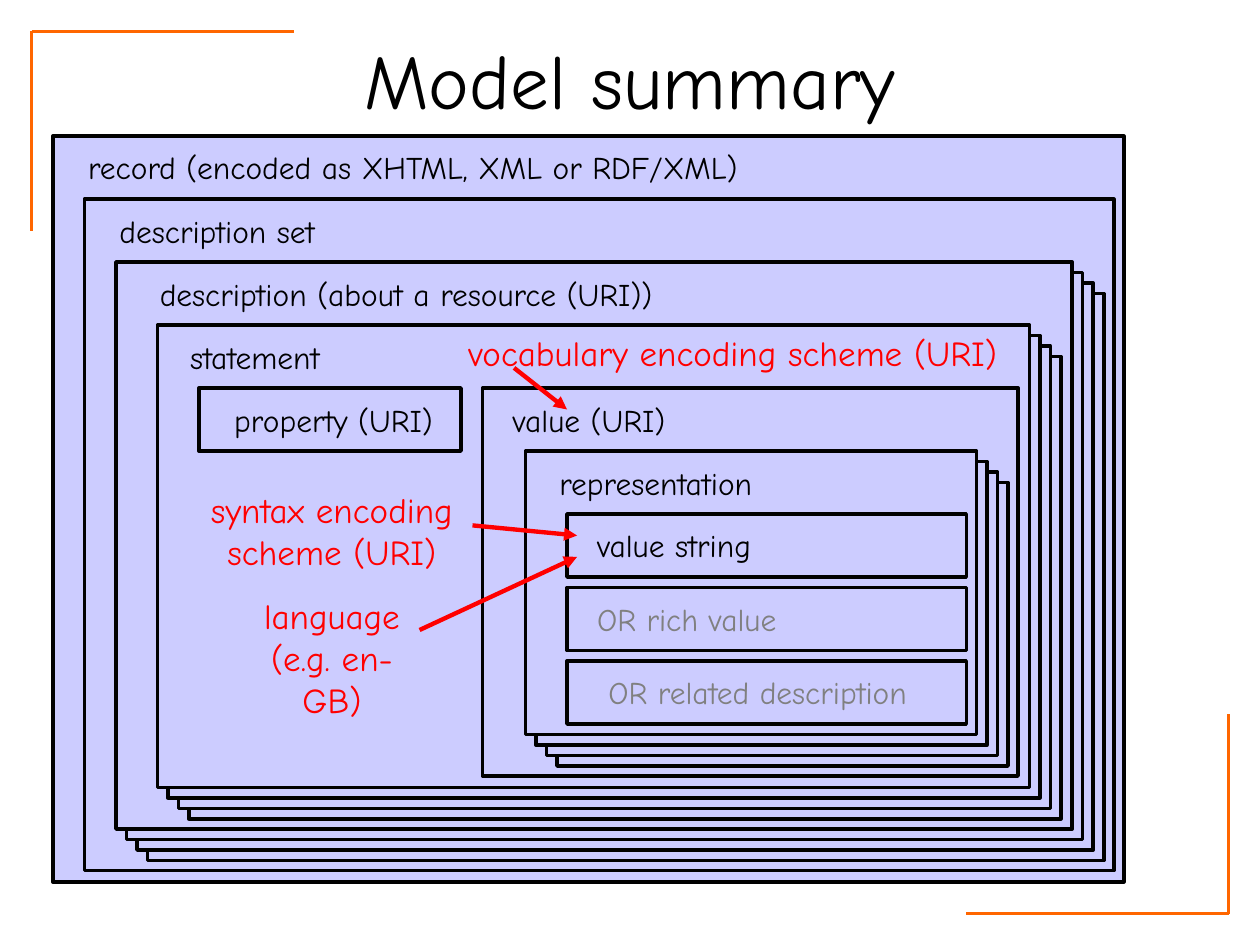
from lxml.etree import SubElement
from pptx import Presentation
from pptx.dml.color import RGBColor
from pptx.enum.shapes import MSO_CONNECTOR, MSO_SHAPE
from pptx.enum.text import MSO_ANCHOR, MSO_AUTO_SIZE, PP_ALIGN
from pptx.oxml.ns import qn
from pptx.util import Inches, Pt

FONT = "Comic Neue"
COLORS = {"box": "CCCCFF", "ink": "000000", "note": "FF0000",
          "option": "808080", "frame": "FF6600"}
STACK_STEP = 1 / 12

# box (left, top, width, height), copies behind it, label, label (left, top, width)
LEVELS = [
    ((0.42, 1.08, 8.5, 5.92), 0, "record (encoded as XHTML, XML or RDF/XML)", (0.6, 1.16, 5.39)),
    ((0.67, 1.58, 8.17, 5.33), 0, "description set", (0.85, 1.67, 1.76)),
    ((0.92, 2.08, 7.59, 4.5), 3, "description (about a resource (URI))", (1.17, 2.17, 4.13)),
    ((1.25, 2.58, 6.92, 3.67), 3, "statement", (1.41, 2.67, 1.25)),
    ((1.58, 3.08, 2.08, 0.5), 0, "property (URI)", (1.76, 3.17, 1.78)),
    ((3.83, 3.08, 4.25, 3.08), 0, "value (URI)", (3.97, 3.17, 1.42)),
    ((4.17, 3.58, 3.58, 2.25), 3, "representation", (4.34, 3.67, 1.75)),
]
# label, left, width, colour
VALUE_FORMS = [
    ("value string", 4.64, 1.43, "ink"),
    ("OR rich value", 4.64, 1.63, "option"),
    ("OR related description", 4.73, 2.59, "option"),
]
# note, text area, arrow start, arrow end
NOTES = [
    ("vocabulary encoding scheme (URI)", (3.62, 2.58, 4.4, 0.44), (4.08, 2.92), (4.5, 3.25)),
    ("syntax encoding\nscheme (URI)", (1.57, 3.83, 2.13, 0.77), (3.75, 4.17), (4.58, 4.25)),
    ("language\n(e.g. en-GB)", (1.82, 4.67, 1.63, 0.77), (3.33, 5), (4.58, 4.42)),
]
CORNER_LINES = [
    ((9.75, 7.25), (9.75, 5.67)), ((7.67, 7.25), (9.75, 7.25)),
    ((0.25, 0.25), (2.33, 0.25)), ((0.25, 1.83), (0.25, 0.25)),
]


def rgb(name):
    return RGBColor.from_string(COLORS[name])


def write(tf, text, size=18, color="ink", align=PP_ALIGN.LEFT, spacing=None):
    p = tf.paragraphs[0]
    p.text = text
    p.alignment = align
    p.line_spacing = spacing
    for r in p.runs:
        r.font.name = FONT
        r.font.size = Pt(size)
        r.font.color.rgb = rgb(color)


def add_text(shapes, area, text, **text_format):
    tf = shapes.add_textbox(*map(Inches, area)).text_frame
    tf.word_wrap = False
    tf.auto_size = MSO_AUTO_SIZE.SHAPE_TO_FIT_TEXT
    write(tf, text, **text_format)


def add_box(shapes, area):
    sp = shapes.add_shape(MSO_SHAPE.RECTANGLE, *map(Inches, area))
    sp.shadow.inherit = False
    sp.fill.solid()
    sp.fill.fore_color.rgb = rgb("box")
    sp.line.color.rgb = rgb("ink")
    sp.line.width = Pt(2)


def add_labelled_box(slide, area, label, label_place, color="ink", copies=0):
    """Draw a box with a label, in front of copies stepping down to the right."""
    left, top, width, height = area
    for i in range(copies, 0, -1):
        shift = i * STACK_STEP
        add_box(slide.shapes, (left + shift, top + shift, width, height))
    group = slide.shapes.add_group_shape()
    add_box(group.shapes, area)
    add_text(group.shapes, (*label_place, 0.37), label, color=color, spacing=0.9)


def add_line(shapes, start, end, color, width, arrow=False):
    line = shapes.add_connector(MSO_CONNECTOR.STRAIGHT, *map(Inches, (*start, *end)))
    line.line.color.rgb = rgb(color)
    line.line.width = Pt(width)
    if arrow:
        SubElement(line.line._get_or_add_ln(), qn("a:tailEnd"), type="triangle")
    SubElement(line._element.spPr, qn("a:effectLst"))


def add_title(slide, text):
    title = slide.shapes.title
    title.left, title.top, title.width, title.height = map(Inches, (0.75, 0, 8.5, 1.25))
    title.text_frame.vertical_anchor = MSO_ANCHOR.MIDDLE
    write(title.text_frame, text, size=44, align=PP_ALIGN.CENTER)


def add_note(slide, text, area, start, end):
    group = slide.shapes.add_group_shape()
    align = PP_ALIGN.CENTER if "\n" in text else PP_ALIGN.LEFT
    add_text(group.shapes, area, text, size=20, color="note", align=align)
    add_line(group.shapes, start, end, "note", 2.5, arrow=True)


def main():
    prs = Presentation()
    prs.slide_width, prs.slide_height = Inches(10), Inches(7.5)
    slide = prs.slides.add_slide(prs.slide_layouts[5])

    for start, end in CORNER_LINES:
        add_line(slide.shapes, start, end, "frame", 2)
    add_title(slide, "Model summary")
    for area, copies, label, place in LEVELS:
        add_labelled_box(slide, area, label, place, copies=copies)
    for i, (label, left, width, color) in enumerate(VALUE_FORMS):
        top = 4.08 + i * 7 * STACK_STEP
        add_labelled_box(slide, (4.5, top, 3.17, 0.5), label,
                         (left, top + STACK_STEP, width), color=color)
    for note in NOTES:
        add_note(slide, *note)

    prs.save("out.pptx")


if __name__ == "__main__":
    main()
